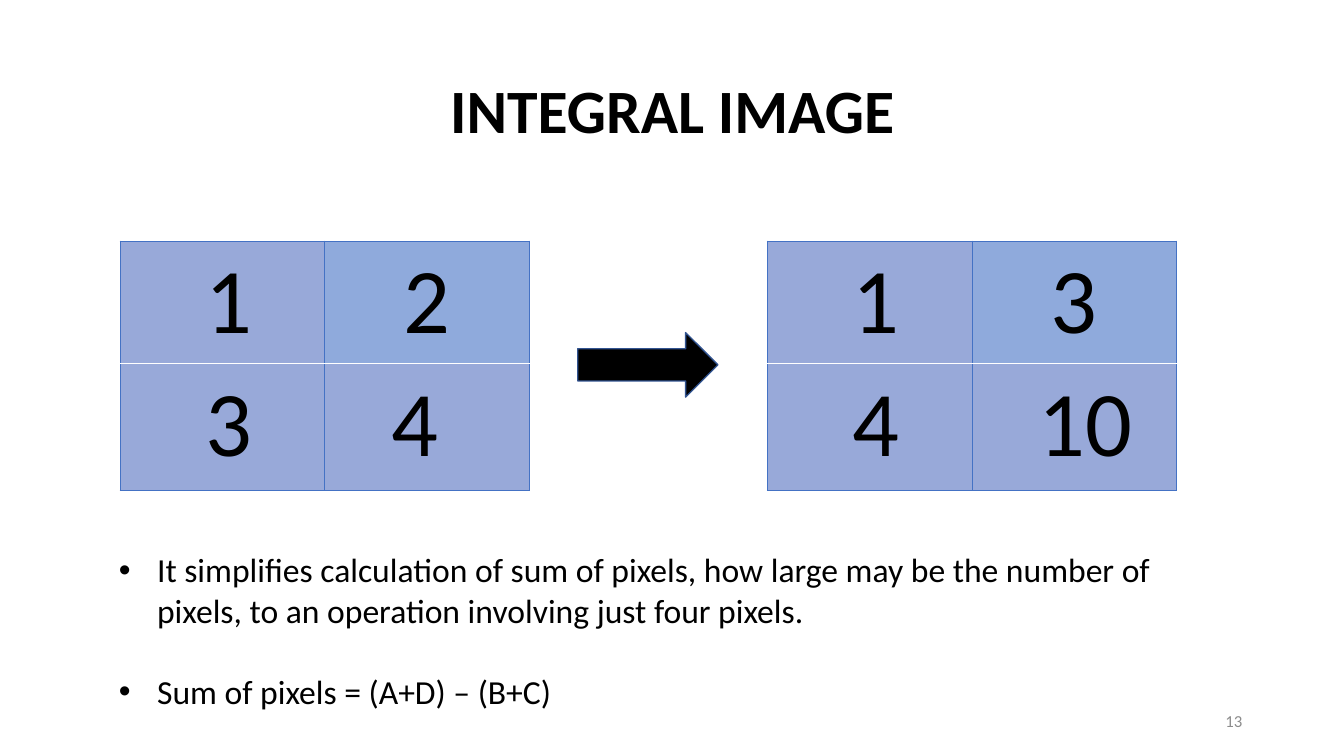
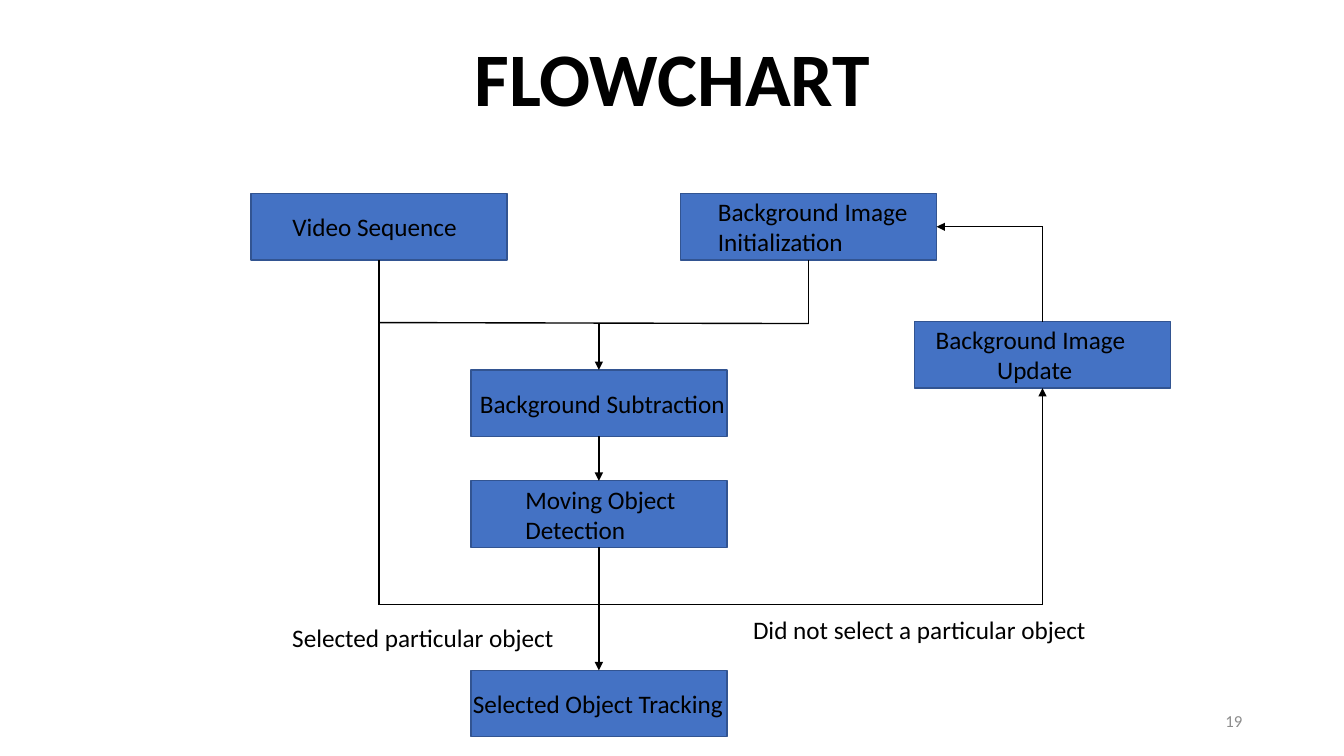
from dataclasses import dataclass

from lxml.etree import SubElement
from pptx import Presentation
from pptx.dml.color import RGBColor
from pptx.enum.shapes import MSO_CONNECTOR, MSO_SHAPE
from pptx.enum.text import MSO_ANCHOR, MSO_AUTO_SIZE, PP_ALIGN
from pptx.oxml.ns import qn
from pptx.util import Pt

SCALE = 9144


@dataclass(frozen=True)
class Theme:
    """Colours, font and type sizes of the deck."""
    font: str = "Calibri"
    ink: str = "000000"
    blue: str = "4472C4"
    edge: str = "325491"
    pale: str = "98A9D9"
    sky: str = "8FAADC"
    white: str = "FFFFFF"
    grey: str = "8C8C8C"
    head: int = 44
    large: int = 54
    digit: int = 66
    body: int = 24
    label: int = 18
    small: int = 12


def px(*sizes):
    """Turn px lengths into EMU."""
    return [size * SCALE for size in sizes]


def put(item, **values):
    """Set each named value on the item."""
    for name, value in values.items():
        setattr(item, name, value)


class Deck:
    """Holds the style and the current slide."""

    def __init__(self, theme):
        """Start an empty wide deck."""
        self.theme = theme
        self.show = Presentation()
        put(self.show, slide_width=1333 * SCALE, slide_height=750 * SCALE)

    def page(self, text, number, top, size):
        """Add a slide with its title and number."""
        self.slide = self.show.slides.add_slide(self.show.slide_layouts[5])
        title = self.slide.shapes.title
        left, top, width, height = px(92, top, 1150, 145)
        put(title, left=left, top=top, width=width, height=height)
        put(title.text_frame, vertical_anchor=MSO_ANCHOR.MIDDLE,
            word_wrap=True, auto_size=MSO_AUTO_SIZE.NONE)
        self.fill(title.text_frame, [text], size, bold=True,
                  align=PP_ALIGN.CENTER, line=0.9)
        self.text((942, 695, 300, 40), [str(number)], self.theme.small,
                  self.theme.grey, align=PP_ALIGN.RIGHT)

    def fill(self, frame, lines, size, tint=None, bold=False,
             align=PP_ALIGN.LEFT, line=None, gap=0):
        """Fill a frame with one paragraph for each line."""
        for index, text in enumerate(lines):
            para = frame.add_paragraph() if index else frame.paragraphs[0]
            put(para, alignment=align, line_spacing=line,
                space_before=Pt(gap if index else 0))
            run = para.add_run()
            run.text = text
            put(run.font, name=self.theme.font, size=Pt(size), bold=bold)
            run.font.color.rgb = RGBColor.from_string(tint or self.theme.ink)
        return frame

    def text(self, box, lines, size, tint=None, **style):
        """Add a text box."""
        frame = self.slide.shapes.add_textbox(*px(*box)).text_frame
        put(frame, word_wrap=True, vertical_anchor=MSO_ANCHOR.MIDDLE)
        return self.fill(frame, lines, size, tint, **style)

    def list(self, box, lines, gap):
        """Add a bulleted text box."""
        frame = self.text(box, lines, self.theme.body, gap=gap)
        frame.vertical_anchor = MSO_ANCHOR.TOP
        for para in frame.paragraphs:
            props = para._p.get_or_add_pPr()
            props.set("marL", str(38 * SCALE))
            props.set("indent", str(-38 * SCALE))
            SubElement(props, qn("a:buFont"), typeface="Arial")
            SubElement(props, qn("a:buChar"), char="•")

    def shape(self, kind, box, fill):
        """Add a filled preset shape with an edge."""
        shape = self.slide.shapes.add_shape(kind, *px(*box))
        shape.shadow.inherit = False
        shape.fill.solid()
        shape.fill.fore_color.rgb = RGBColor.from_string(fill)
        shape.line.color.rgb = RGBColor.from_string(self.theme.edge)
        shape.line.width = Pt(1)
        return shape

    def node(self, box, lines, inset, shift=0):
        """Add a flowchart box whose last line may be shifted."""
        frame = self.shape(MSO_SHAPE.RECTANGLE, box, self.theme.blue).text_frame
        put(frame, word_wrap=True, vertical_anchor=MSO_ANCHOR.MIDDLE,
            margin_left=inset * SCALE, margin_right=0,
            margin_top=0, margin_bottom=0)
        self.fill(frame, lines, self.theme.label)
        if shift:
            props = frame.paragraphs[-1]._p.get_or_add_pPr()
            props.set("marL", str(shift * SCALE))

    def link(self, start, end, arrow=False):
        """Add a straight line, with an arrowhead if asked."""
        line = self.slide.shapes.add_connector(
            MSO_CONNECTOR.STRAIGHT, *px(*start, *end))
        line.line.color.rgb = RGBColor.from_string(self.theme.ink)
        line.line.width = Pt(1)
        props = line._element.spPr
        if arrow:
            SubElement(props.find(qn("a:ln")), qn("a:tailEnd"), type="triangle")
        SubElement(props, qn("a:effectLst"))

    def edges(self, cell, row):
        """Draw blue cell borders with a white rule between rows."""
        props = cell._tc.get_or_add_tcPr()
        inner = "B" if row == 0 else "T"
        for side in "LRTB":
            tint, width = ((self.theme.white, 1) if side == inner
                           else (self.theme.blue, 0.5))
            line = SubElement(props, qn(f"a:ln{side}"), w=str(int(Pt(width))))
            fill = SubElement(line, qn("a:solidFill"))
            SubElement(fill, qn("a:srgbClr"), val=tint)

    def grid(self, left, rows):
        """Add a two by two table of pixel values."""
        table = self.slide.shapes.add_table(
            2, 2, *px(left, 239, 406, 247)).table
        put(table, first_row=False, horz_banding=False)
        for col in table.columns:
            col.width = 203 * SCALE
        insets = ((85, 78), (85, 66))
        for r, (height, values) in enumerate(zip((122, 125), rows)):
            table.rows[r].height = height * SCALE
            for c, value in enumerate(values):
                cell = table.cell(r, c)
                self.edges(cell, r)
                put(cell, margin_left=insets[r][c] * SCALE, margin_right=0)
                cell.fill.solid()
                tint = self.theme.sky if (r, c) == (0, 1) else self.theme.pale
                cell.fill.fore_color.rgb = RGBColor.from_string(tint)
                self.fill(cell.text_frame, [str(value)], self.theme.digit)


def matrix(deck):
    """Build the integral image slide."""
    deck.page("INTEGRAL IMAGE", 13, 40, deck.theme.head)
    deck.grid(119, ((1, 2), (3, 4)))
    deck.grid(761, ((1, 3), (4, 10)))
    deck.shape(MSO_SHAPE.RIGHT_ARROW, (573, 330, 139, 64), deck.theme.ink)
    deck.list((108, 540, 1070, 172), [
        "It simplifies calculation of sum of pixels, how large may be the "
        "number of pixels, to an operation involving just four pixels.",
        "Sum of pixels = (A+D) – (B+C)"], gap=29)


def flow(deck):
    """Build the flowchart slide."""
    deck.page("FLOWCHART", 19, 9, deck.theme.large)
    wide, high = 254, 66
    nodes = (
        (249, 192, ["Video Sequence"], 41, 0),
        (675, 192, ["Background Image Initialization"], 37, 0),
        (467, 367, ["Background Subtraction"], 9, 0),
        (467, 477, ["Moving Object Detection"], 54, 0),
        (907, 319, ["Background Image", "Update"], 21, 61),
        (467, 665, ["Selected Object Tracking"], 2, 0))
    for left, top, lines, inset, shift in nodes:
        deck.node((left, top, wide, high), lines, inset, shift)
    video, init, main, update = (x + wide // 2 for x in (249, 675, 467, 907))
    join, split, side = 321, 600, 225
    links = (
        ((video, 192 + high), (video, split), False),
        ((video, split), (update, split), False),
        ((update, split), (update, 319 + high), True),
        ((update, 319), (update, side), False),
        ((update, side), (675 + wide, side), True),
        ((video, join - 1), (init, join), False),
        ((init, 192 + high), (init, join), False),
        ((main, join), (main, 367), True),
        ((main, 367 + high), (main, 477), True),
        ((main, 477 + high), (main, 665), True))
    for start, end, arrow in links:
        deck.link(start, end, arrow)
    notes = (((280, 612, 308, 40), "Selected particular object"),
             ((737, 604, 371, 40), "Did not select a particular object"))
    for box, text in notes:
        deck.text(box, [text], deck.theme.label)


def main():
    """Build and save the deck."""
    deck = Deck(Theme())
    matrix(deck)
    flow(deck)
    deck.show.save("out.pptx")


if __name__ == "__main__":
    main()
